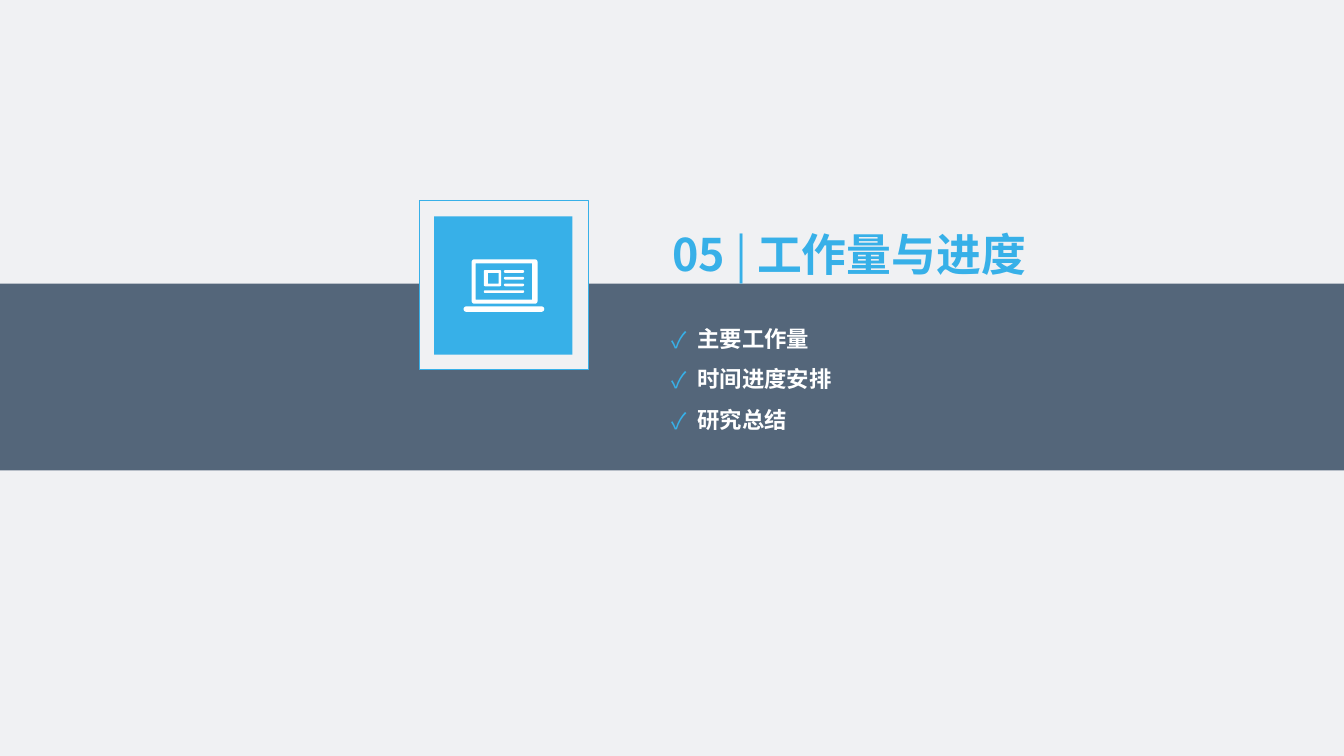
import math

from lxml import etree
from pptx import Presentation, util as u
from pptx.dml.color import RGBColor
from pptx.enum import shapes, text
from pptx.oxml.ns import qn

COLORS = {"paper": "F0F1F3", "slate": "54667A", "sky": "37B0E8", "white": "FFFFFF"}
COLORS = {role: RGBColor.from_string(code) for role, code in COLORS.items()}

prs = Presentation()
prs.slide_width = u.Inches(10)
prs.slide_height = prs.slide_width * 9 // 16
slide = prs.slides.add_slide(prs.slide_layouts[6])
slide.background.fill.solid()
slide.background.fill.fore_color.rgb = COLORS["paper"]

for left, top, width, height, fill, outline in [
    (0, 2.11, 10, 1.39, "slate", None),
    (3.12, 1.49, 1.26, 1.26, "paper", "sky"),
    (3.23, 1.61, 1.03, 1.03, "sky", None),
]:
    panel = slide.shapes.add_shape(
        shapes.MSO_SHAPE.RECTANGLE, *map(u.Inches, (left, top, width, height)))
    panel.shadow.inherit = False
    panel.fill.solid()
    panel.fill.fore_color.rgb = COLORS[fill]
    if outline:
        panel.line.color.rgb = COLORS[outline]
        panel.line.width = u.Pt(0.5)
    else:
        panel.line.fill.background()


def add_text_box(left, top, width, height):
    frame = slide.shapes.add_textbox(*map(u.Inches, (left, top, width, height))).text_frame
    frame.margin_left = frame.margin_right = frame.margin_top = frame.margin_bottom = 0
    frame.word_wrap = True
    frame.auto_size = text.MSO_AUTO_SIZE.SHAPE_TO_FIT_TEXT
    return frame


def rounded_outline(left, top, right, bottom, radius):
    corners = [(right - radius, bottom - radius, 0), (left + radius, bottom - radius, 90),
               (left + radius, top + radius, 180), (right - radius, top + radius, 270)]
    steps = range(0, 91, 15) if radius else [0]
    return [(u.Inches(x + radius * math.cos(math.radians(start + step))),
             u.Inches(y + radius * math.sin(math.radians(start + step))))
            for x, y, start in corners for step in steps]


topics = add_text_box(5, 2.32, 1.56, 0.87)
for index, topic in enumerate(["主要工作量", "时间进度安排", "研究总结"]):
    item = topics.paragraphs[0] if index == 0 else topics.add_paragraph()
    item.add_run().text = topic
    item.line_spacing = 1.5
    properties = item._p.get_or_add_pPr()
    properties.set("marL", str(u.Inches(0.19)))
    properties.set("indent", str(-u.Inches(0.19)))
    tint = etree.SubElement(properties, qn("a:buClr"))
    etree.SubElement(tint, qn("a:srgbClr"), val=str(COLORS["sky"]))
    etree.SubElement(properties, qn("a:buFont"), typeface="Noto Sans CJK SC")
    etree.SubElement(properties, qn("a:buChar"), char="✓")
    item.font.name = "Roboto Condensed"
    item.font.size = u.Pt(12)
    item.font.bold = True
    item.font.color.rgb = COLORS["white"]

heading = add_text_box(5, 1.49, 2.92, 0.53).paragraphs[0]
heading.line_spacing = 1.5
heading.font.name = "Noto Sans CJK SC"
heading.font.size = u.Pt(24)
heading.font.color.rgb = COLORS["sky"]
east_asian = etree.SubElement(heading._p.pPr.find(qn("a:defRPr")), qn("a:ea"))
east_asian.set("typeface", "Noto Sans CJK SC")
for words, bold in [("05 ", True), ("| ", False), ("工作量与进度", True)]:
    run = heading.add_run()
    run.text = words
    run.font.bold = bold

laptop_parts = [
    (3.45, 2.28, 4.05, 2.32, 0.02),
    (3.51, 1.93, 4, 2.26, 0.02),
    (3.54, 1.96, 3.96, 2.23, 0),
    (3.6, 2.01, 3.73, 2.13, 0.01),
    (3.63, 2.03, 3.71, 2.11, 0),
    (3.6, 2.16, 3.9, 2.18, 0.01),
]
laptop_parts += [(3.75, top, 3.9, top + 0.02, 0.01) for top in (2.01, 2.06, 2.11)]
outlines = [rounded_outline(*part) for part in laptop_parts]
builder = slide.shapes.build_freeform(*outlines[0][0])
builder.add_line_segments(outlines[0][1:])
for outline in outlines[1:]:
    builder.move_to(*outline[0])
    builder.add_line_segments(outline[1:])
laptop = builder.convert_to_shape()
laptop.shadow.inherit = False
laptop.fill.solid()
laptop.fill.fore_color.rgb = COLORS["white"]
laptop.line.fill.background()

prs.save("out.pptx")
